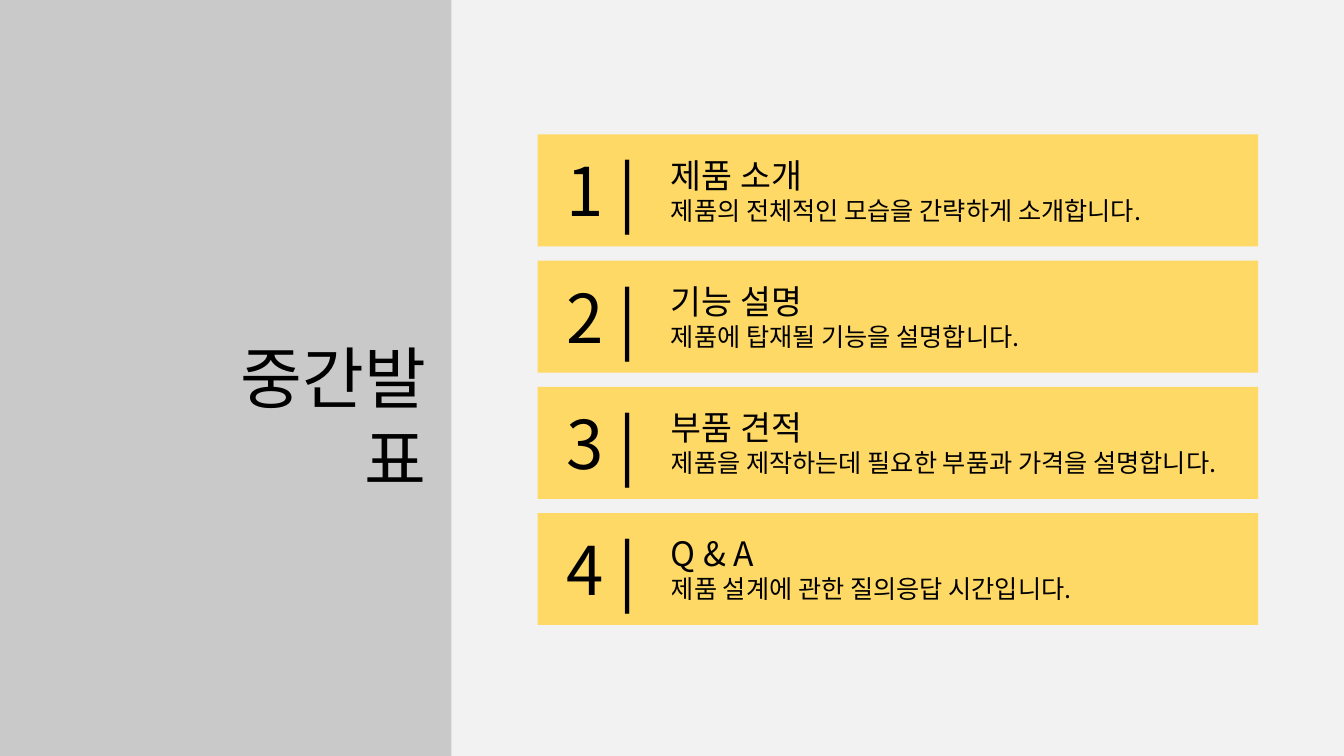
"""Build the agenda slide of a mid-term presentation."""
from dataclasses import dataclass

from lxml.etree import SubElement
from pptx import Presentation
from pptx.dml.color import RGBColor
from pptx.enum.shapes import MSO_SHAPE
from pptx.enum.text import MSO_AUTO_SIZE, PP_ALIGN
from pptx.oxml.ns import qn
from pptx.shapes.autoshape import Shape
from pptx.util import Cm, Pt

FONT = "Noto Sans CJK KR"
BACKGROUND = RGBColor(0xF2, 0xF2, 0xF2)
GRAY = RGBColor(0xC9, 0xC9, 0xC9)
YELLOW = RGBColor(0xFF, 0xD9, 0x66)
BLACK = RGBColor(0, 0, 0)

SLIDE_WIDTH, SLIDE_HEIGHT = 33.87, 19.05
FIRST_TOP, ROW_PITCH = 3.39, 3.18


@dataclass(frozen=True)
class AgendaItem:
    heading: str
    description: str
    text_width: float
    number_width: float


AGENDA = (
    AgendaItem("제품 소개", "제품의 전체적인 모습을 간략하게 소개합니다.", 12.4, 2.41),
    AgendaItem("기능 설명", "제품에 탑재될 기능을 설명합니다.", 9.32, 2.41),
    AgendaItem("부품 견적", "제품을 제작하는데 필요한 부품과 가격을 설명합니다.", 14.3, 2.92),
    AgendaItem("Q & A", "제품 설계에 관한 질의응답 시간입니다.", 10.64, 2.92),
)


def add_panel(shapes, left: float, top: float, width: float, height: float,
              color: RGBColor) -> None:
    panel = shapes.add_shape(MSO_SHAPE.RECTANGLE, Cm(left), Cm(top), Cm(width), Cm(height))
    panel.shadow.inherit = False
    panel.fill.solid()
    panel.fill.fore_color.rgb = color
    panel.line.fill.background()


def add_text(shapes, left: float, top: float, width: float, height: float,
             color: RGBColor, text: str, sizes: tuple[int, ...]) -> Shape:
    box = shapes.add_textbox(Cm(left), Cm(top), Cm(width), Cm(height))
    box.fill.solid()
    box.fill.fore_color.rgb = color
    frame = box.text_frame
    frame.text = text
    frame.word_wrap = False
    frame.auto_size = MSO_AUTO_SIZE.SHAPE_TO_FIT_TEXT
    for para, size in zip(frame.paragraphs, sizes):
        for span in para.runs:
            span.font.size = Pt(size)
            span.font.color.rgb = BLACK
            span.font.name = FONT
            SubElement(span.font._element, qn("a:ea"), typeface=FONT)
    return box


def add_agenda_row(page, index: int, item: AgendaItem) -> None:
    top = FIRST_TOP + index * ROW_PITCH
    shapes = page.shapes.add_group_shape().shapes
    add_panel(shapes, 13.55, top, 18.16, 2.82, YELLOW)
    add_text(shapes, 16.66, top + 0.38, item.text_width, 2.06, YELLOW,
             f"{item.heading}\n{item.description}", (24, 18))
    add_text(shapes, 14.02, top + 0.26, item.number_width, 2.31, YELLOW,
             f"{index + 1} |", (48,))


def main() -> None:
    deck = Presentation()
    deck.slide_width, deck.slide_height = Cm(SLIDE_WIDTH), Cm(SLIDE_HEIGHT)
    page = deck.slides.add_slide(deck.slide_layouts[6])
    page.background.fill.solid()
    page.background.fill.fore_color.rgb = BACKGROUND

    for index, item in enumerate(AGENDA):
        add_agenda_row(page, index, item)

    add_panel(page.shapes, 0, 0, 11.38, SLIDE_HEIGHT, GRAY)
    title = add_text(page.shapes, 4.29, 8.36, 6.7, 2.31, GRAY, "중간발표", (48,))
    title.text_frame.word_wrap = True
    title.text_frame.paragraphs[0].alignment = PP_ALIGN.RIGHT

    deck.save("out.pptx")


if __name__ == "__main__":
    main()
